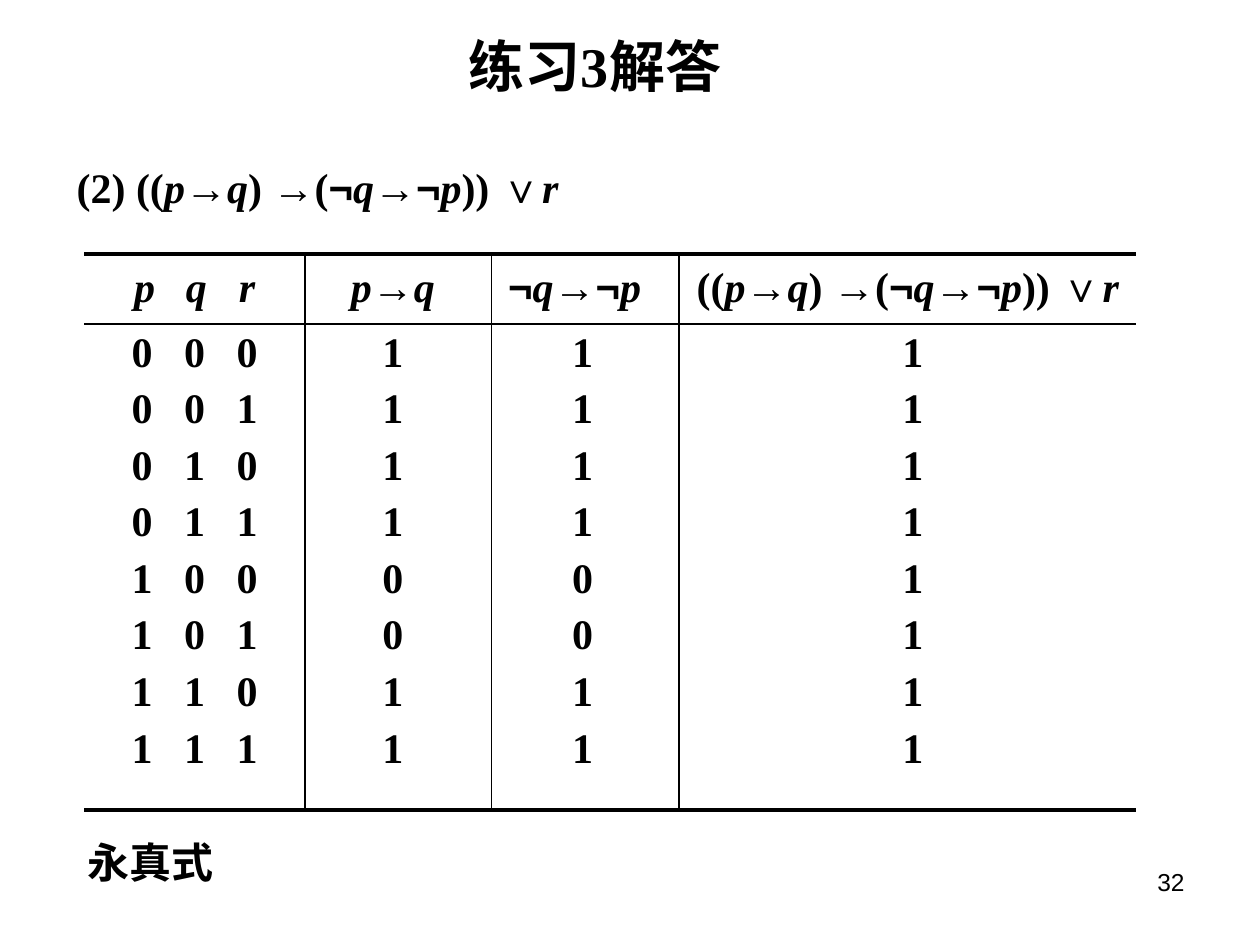
from dataclasses import dataclass
from itertools import accumulate, groupby, product

from lxml import etree
from pptx import Presentation
from pptx.dml.color import RGBColor
from pptx.enum import shapes as sh
from pptx.enum import text as tx
from pptx.oxml import ns
from pptx.util import Pt

COLORS = {"ink": "000000", "paper": "FFFFFF"}
SERIF, SANS = "Times New Roman", "Arial"
SYMBOLS, VARS = "→¬∨练习", "pqr"
FORMULA = "((p→q) →(¬q→¬p)) ∨r"
THICK, THIN = 2.25, 1
HEAD, ROW, LAST = 39.6, 32, 53.9
ALIGN = tx.PP_ALIGN


@dataclass
class Box:
    left: float
    top: float
    width: float
    height: float


@dataclass
class Col:
    head: str
    vals: list[int]
    width: float
    head_shift: float = 0  # offset of the text from the column centre
    shift: float = 0
    rule: bool = False  # vertical line on the right


def ink() -> RGBColor:
    return RGBColor.from_string(COLORS["ink"])


def face(char: str) -> tuple[str, bool]:
    """Font and italic flag for one character."""
    return (SANS if char in SYMBOLS else SERIF, char in VARS)


def write(frame, words: str, size: float = 24, align=ALIGN.LEFT,
          bold: bool = True, font: str | None = None) -> None:
    """Write one paragraph, split into runs wherever the font changes."""
    para = frame.paragraphs[0]
    para.alignment = align
    for (name, slant), chars in groupby(words, face):
        run = para.add_run()
        run.text = "".join(chars)
        run.font.name = font or name
        run.font.size = Pt(size)
        run.font.bold = bold
        run.font.italic = slant
        run.font.color.rgb = ink()


def add_text(slide, box: Box, words: str, **style) -> None:
    shape = slide.shapes.add_textbox(
        Pt(box.left), Pt(box.top), Pt(box.width), Pt(box.height))
    shape.text_frame.word_wrap = True
    write(shape.text_frame, words, **style)


def add_title(slide, box: Box, words: str) -> None:
    title = slide.shapes.title
    title.left, title.top = Pt(box.left), Pt(box.top)
    title.width, title.height = Pt(box.width), Pt(box.height)
    frame = title.text_frame
    frame.auto_size = tx.MSO_AUTO_SIZE.NONE
    frame.vertical_anchor = tx.MSO_ANCHOR.MIDDLE
    frame.margin_left = frame.margin_right = 0
    frame.margin_top = frame.margin_bottom = 0
    write(frame, words, size=32, align=ALIGN.CENTER)


def add_line(slide, x1: float, y1: float, x2: float, y2: float,
             width: float) -> None:
    line = slide.shapes.add_connector(
        sh.MSO_CONNECTOR.STRAIGHT, Pt(x1), Pt(y1), Pt(x2), Pt(y2))
    line.line.color.rgb = ink()
    line.line.width = Pt(width)
    etree.SubElement(line._element.spPr, ns.qn("a:effectLst"))


def clear(cell) -> None:
    """Remove the borders and fill that the table style gives a cell."""
    props = cell._tc.get_or_add_tcPr()
    for side in "LRTB":
        line = etree.SubElement(props, ns.qn(f"a:ln{side}"))
        etree.SubElement(line, ns.qn("a:noFill"))
    cell.fill.background()


def add_truth(slide, left: float, top: float, cols: list[Col]) -> None:
    count = len(cols[0].vals) + 1
    heights = [HEAD] + [ROW] * (count - 2) + [LAST]
    width, height = sum(col.width for col in cols), sum(heights)
    table = slide.shapes.add_table(
        count, len(cols), Pt(left), Pt(top), Pt(width), Pt(height)).table
    table.first_row = table.horz_banding = False
    for row, tall in zip(table.rows, heights):
        row.height = Pt(tall)
    for c, col in enumerate(cols):
        table.columns[c].width = Pt(col.width)
        for r, value in enumerate([col.head, *col.vals]):
            cell = table.cell(r, c)
            shift = col.shift if r else col.head_shift
            cell.margin_left = Pt(max(0, 2 * shift))
            cell.margin_right = Pt(max(0, -2 * shift))
            cell.margin_top = Pt(3.5 if r else 0)
            cell.margin_bottom = Pt(0 if r else 1)
            middle = tx.MSO_ANCHOR.MIDDLE
            cell.vertical_anchor = tx.MSO_ANCHOR.TOP if r else middle
            clear(cell)
            write(cell.text_frame, str(value), align=ALIGN.CENTER)

    for y, thick in ((0, THICK), (HEAD, THIN), (height, THICK)):
        add_line(slide, left, top + y, left + width, top + y, thick)
    for col, x in zip(cols, accumulate(col.width for col in cols)):
        if col.rule:
            add_line(slide, left + x, top, left + x, top + height, THIN)


def main() -> None:
    deck = Presentation()
    deck.slide_width, deck.slide_height = Pt(720), Pt(540)
    slide = deck.slides.add_slide(deck.slide_layouts[5])
    slide.background.fill.solid()
    slide.background.fill.fore_color.rgb = RGBColor.from_string(
        COLORS["paper"])

    add_title(slide, Box(155.7, 20.6, 368.6, 33.1), "练习3解答")
    add_text(slide, Box(36.7, 88.6, 362.9, 36), f"(2) {FORMULA}")

    rows = list(product((0, 1), repeat=3))
    p, q, r = (list(vals) for vals in zip(*rows))
    imply = [int(not a or b) for a, b, _ in rows]
    contra = [int(b or not a) for a, b, _ in rows]
    whole = [int(not x or y or z) for x, y, z in zip(imply, contra, r)]
    add_truth(slide, 48.2, 145.4, [
        Col("p", p, 48, 10.5, 9),
        Col("q", q, 30, 1),
        Col("r", r, 48, -9, -9, rule=True),
        Col("p→q", imply, 106.6, -3, -3, rule=True),
        Col("¬q→¬p", contra, 107.3, -6, -1.5, rule=True),
        Col(FORMULA, whole, 261.3, 0, 3),
    ])

    add_text(slide, Box(43, 474.3, 86.4, 36), "永真式")
    add_text(slide, Box(516.2, 491.8, 167.8, 37.4), "32", size=14,
             align=ALIGN.RIGHT, bold=False, font=SANS)
    deck.save("out.pptx")


if __name__ == "__main__":
    main()
